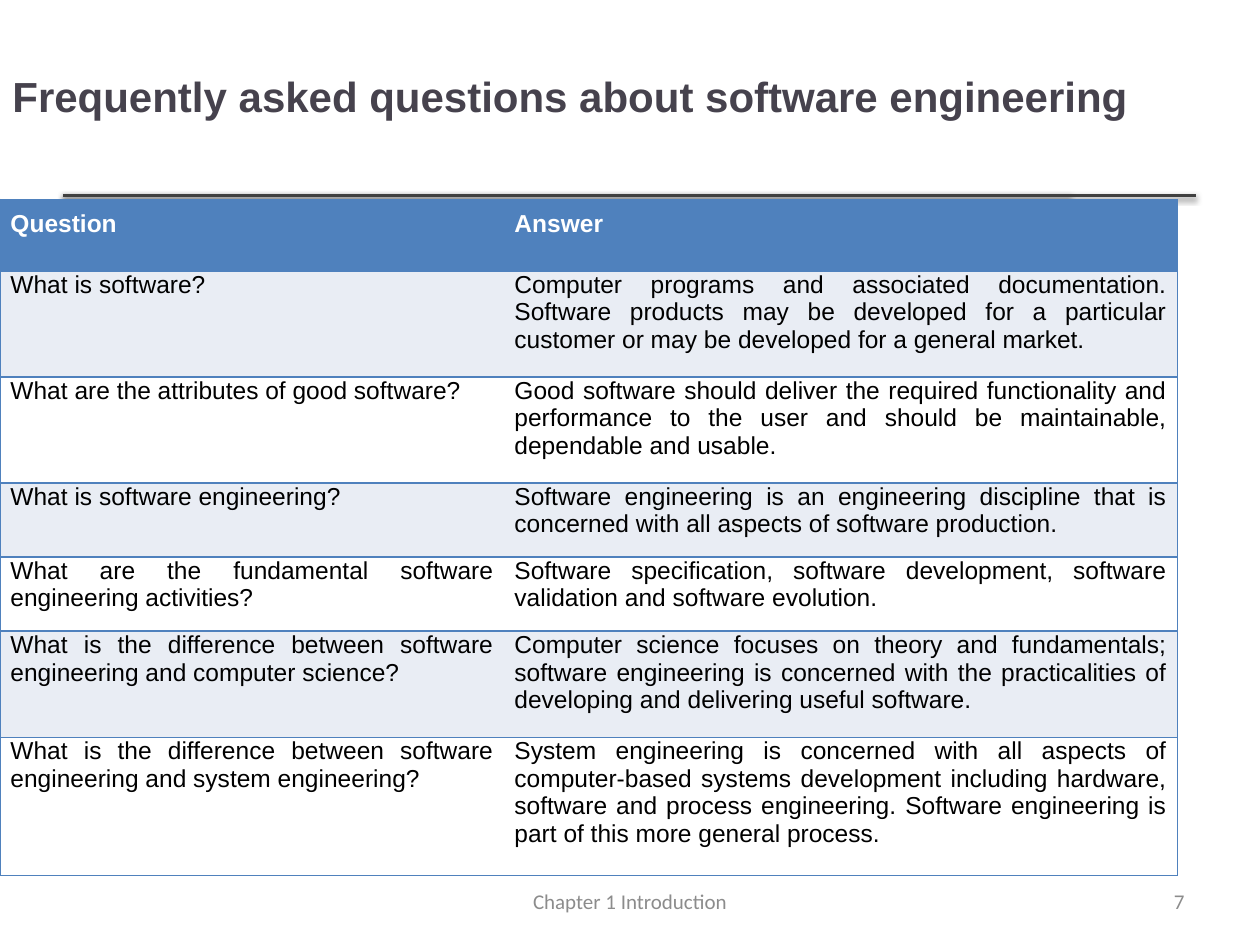
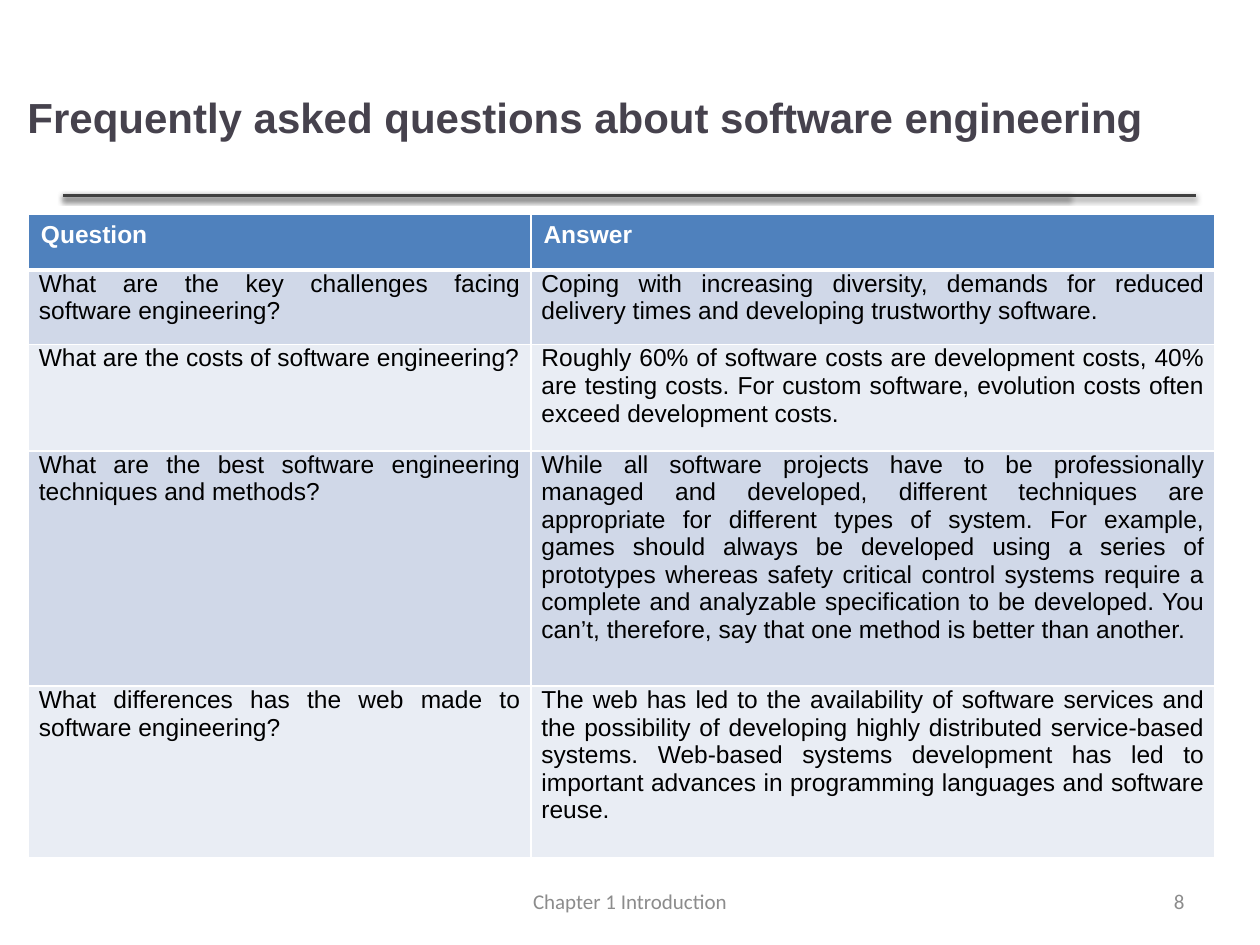
from lxml import etree
from pptx import Presentation
from pptx.dml.color import RGBColor
from pptx.enum.shapes import MSO_CONNECTOR
from pptx.enum.text import MSO_ANCHOR, PP_ALIGN
from pptx.oxml.ns import qn
from pptx.util import Pt

STRAIGHT = MSO_CONNECTOR.STRAIGHT
MIDDLE = MSO_ANCHOR.MIDDLE
LEFT, CENTER, RIGHT, JUSTIFY = PP_ALIGN.LEFT, PP_ALIGN.CENTER, PP_ALIGN.RIGHT, PP_ALIGN.JUSTIFY

WHITE = RGBColor(0xFF, 0xFF, 0xFF)
BLACK = RGBColor(0x00, 0x00, 0x00)
BLUE = RGBColor(0x4F, 0x81, 0xBD)
PALE = RGBColor(0xE9, 0xED, 0xF4)
LIGHT = RGBColor(0xD0, 0xD8, 0xE8)
TITLE_INK = RGBColor(0x46, 0x42, 0x4D)
RULE_INK = RGBColor(0x40, 0x40, 0x40)
FOOTER_INK = RGBColor(0x8C, 0x8C, 0x8C)

TITLE = "Frequently asked questions about software engineering"
FOOTER = "Chapter 1 Introduction"
HEADER = ("Question", "Answer")
BODY_INSETS = (6, 0, 6, 5)

BASIC_QUESTIONS = [
    ("What is software?",
     "Computer programs and associated documentation. Software products may be developed "
     "for a particular customer or may be developed for a general market."),
    ("What are the attributes of good software?",
     "Good software should deliver the required functionality and performance to the user "
     "and should be maintainable, dependable and usable."),
    ("What is software engineering?",
     "Software engineering is an engineering discipline that is concerned with all aspects "
     "of software production."),
    ("What are the fundamental software engineering activities?",
     "Software specification, software development, software validation and software evolution."),
    ("What is the difference between software engineering and computer science?",
     "Computer science focuses on theory and fundamentals; software engineering is concerned "
     "with the practicalities of developing and delivering useful software."),
    ("What is the difference between software engineering and system engineering?",
     "System engineering is concerned with all aspects of computer-based systems development "
     "including hardware, software and process engineering. Software engineering is part of "
     "this more general process."),
]

FURTHER_QUESTIONS = [
    ("What are the key challenges facing software engineering?",
     "Coping with increasing diversity, demands for reduced delivery times and developing "
     "trustworthy software."),
    ("What are the costs of software engineering?",
     "Roughly 60% of software costs are development costs, 40% are testing costs. For custom "
     "software, evolution costs often exceed development costs."),
    ("What are the best software engineering techniques and methods?",
     "While all software projects have to be professionally managed and developed, different "
     "techniques are appropriate for different types of system. For example, games should "
     "always be developed using a series of prototypes whereas safety critical control systems "
     "require a complete and analyzable specification to be developed. You can’t, therefore, "
     "say that one method is better than another."),
    ("What differences has the web made to software engineering?",
     "The web has led to the availability of software services and the possibility of "
     "developing highly distributed service-based systems. Web-based systems development has "
     "led to important advances in programming languages and software reuse."),
]


def write(tf, text, size=14, font="Arial", color=BLACK, bold=False, align=LEFT):
    p = tf.paragraphs[0]
    p.alignment = align
    r = p.add_run()
    r.text = text
    r.font.size = Pt(size)
    r.font.name = font
    r.font.bold = bold
    r.font.color.rgb = color


def set_insets(target, insets):
    (target.margin_left, target.margin_top,
     target.margin_right, target.margin_bottom) = map(Pt, insets)


def set_borders(cell, color, widths):
    tcPr = cell._tc.get_or_add_tcPr()
    for side in "LRTB":
        width = widths.get(side, 0)
        ln = etree.SubElement(tcPr, qn(f"a:ln{side}"), w=str(Pt(width)))
        if width:
            fill = etree.SubElement(ln, qn("a:solidFill"))
            etree.SubElement(fill, qn("a:srgbClr"), val=str(color))
        else:
            etree.SubElement(ln, qn("a:noFill"))


class Deck:
    def __init__(self):
        self.prs = Presentation()
        self.prs.slide_width, self.prs.slide_height = Pt(720), Pt(540)
        self.s = None

    def slide(self, number):
        self.s = self.prs.slides.add_slide(self.prs.slide_layouts[6])
        for end in (611.3, 683.3):
            self.rule(36, end, 111.6)
        for box, text, align in (((246, 500.4, 228, 28.8), FOOTER, CENTER),
                                 ((516, 500.4, 168, 28.8), str(number), RIGHT)):
            self.text(box, text, size=12, font="Calibri", color=FOOTER_INK, align=align)

    def rule(self, left, right, y):
        line = self.s.shapes.add_connector(STRAIGHT, Pt(left), Pt(y), Pt(right), Pt(y))
        line.line.color.rgb = RULE_INK
        line.line.width = Pt(2)
        effects = etree.SubElement(line._element.spPr, qn("a:effectLst"))
        shadow = etree.SubElement(effects, qn("a:outerShdw"), blurRad=str(Pt(3.1)),
                                  dist=str(Pt(1.6)), dir="5400000", rotWithShape="0")
        ink = etree.SubElement(shadow, qn("a:srgbClr"), val=str(BLACK))
        etree.SubElement(ink, qn("a:alpha"), val="38000")

    def text(self, box, text, insets=(7.2, 3.6, 7.2, 3.6), **fmt):
        tf = self.s.shapes.add_textbox(*map(Pt, box)).text_frame
        tf.word_wrap = True
        tf.vertical_anchor = MIDDLE
        set_insets(tf, insets)
        write(tf, text, **fmt)

    def title(self, box, **kwargs):
        self.text(box, TITLE, size=24, color=TITLE_INK, bold=True, **kwargs)

    def table(self, left, top, widths, heights, questions, bands, border_color,
              borders, header_insets, header_align):
        rows = [HEADER] + questions
        table = self.s.shapes.add_table(len(rows), len(widths), Pt(left), Pt(top),
                                        Pt(sum(widths)), Pt(sum(heights))).table
        table.first_row = table.horz_banding = False
        for column, width in zip(table.columns, widths):
            column.width = Pt(width)
        for i, row in enumerate(rows):
            table.rows[i].height = Pt(heights[i])
            for j, text in enumerate(row):
                cell = table.cell(i, j)
                header = i == 0
                set_insets(cell, header_insets if header else BODY_INSETS)
                set_borders(cell, border_color, borders(i, j))
                cell.fill.solid()
                cell.fill.fore_color.rgb = BLUE if header else bands[(i - 1) % 2]
                write(cell.text_frame, text, bold=header, color=WHITE if header else BLACK,
                      align=header_align if header else JUSTIFY)


def outer_and_row_borders(i, j):
    return {"T": 1, "B": 1, "LR"[j]: 1}


def grid_borders(i, j):
    return {"L": 1, "R": 1, "T": 3 if i == 1 else 1, "B": 3 if i == 0 else 1}


def main():
    deck = Deck()

    deck.slide(7)
    deck.title((0, 21.6, 673.2, 92.9), insets=(7.2, 3.6, 7.2, 30))
    deck.table(0, 114, (288, 384.8), (40.8, 60.6, 60.6, 42.4, 42.4, 60.6, 79),
               BASIC_QUESTIONS, (PALE, WHITE), BLUE, outer_and_row_borders,
               header_insets=(6, 6, 6, 6), header_align=JUSTIFY)

    deck.slide(8)
    deck.title((8.6, 21.6, 685.4, 90))
    deck.table(16.2, 122.6, (287.2, 391), (31.8, 42.6, 60.8, 134.4, 97.8),
               FURTHER_QUESTIONS, (LIGHT, PALE), WHITE, grid_borders,
               header_insets=(7.2, 3.6, 7.2, 3.6), header_align=LEFT)

    deck.prs.save("out.pptx")


if __name__ == "__main__":
    main()
